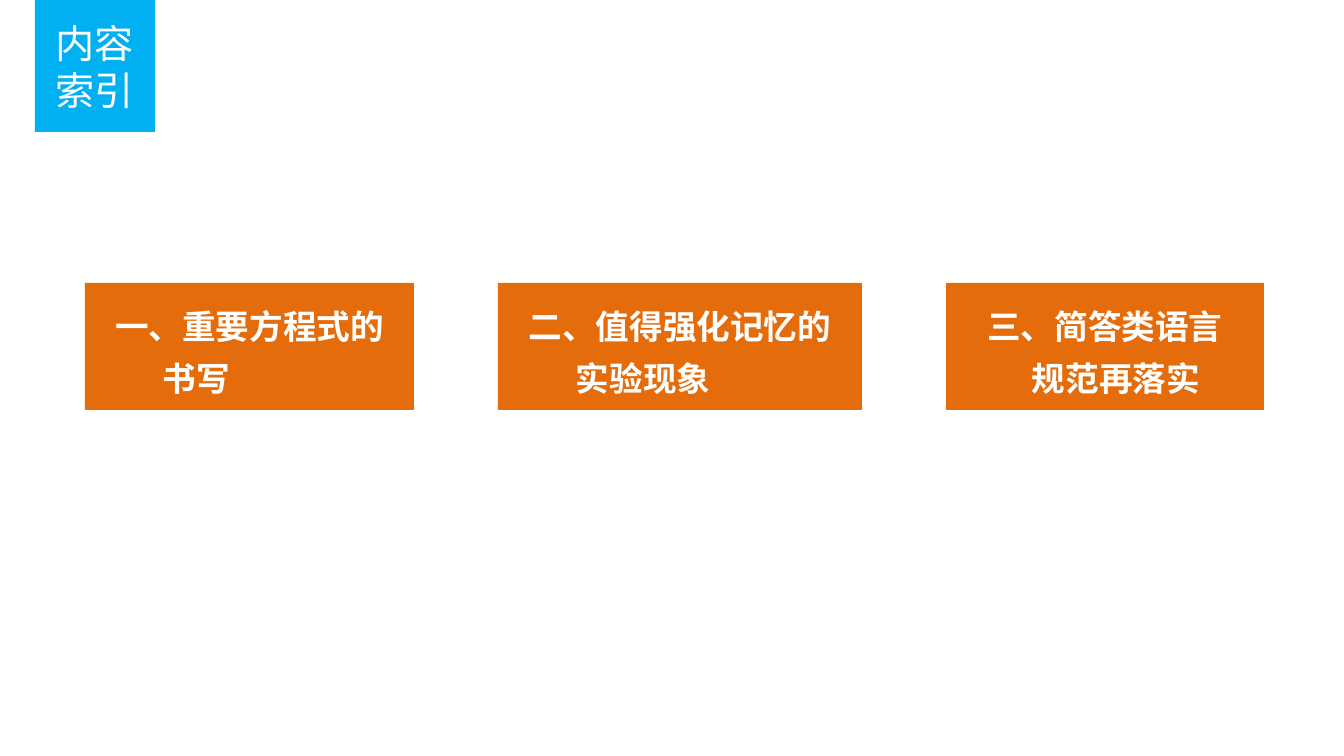
from pptx import Presentation
from pptx.dml.color import RGBColor
from pptx.enum.shapes import MSO_SHAPE
from pptx.enum.text import MSO_ANCHOR, PP_ALIGN
from pptx.util import Pt
from lxml.etree import SubElement
from pptx.oxml.ns import qn

FONT = "Noto Sans CJK SC"
WHITE = "FFFFFF"
BLUE = "00B0F0"
ORANGE = "E46C0A"
CARD_TOP, CARD_HEIGHT = 283, 127
CARDS = [
    (85, 329, "一、重要方程式的", "书写", 68),
    (498, 364, "二、值得强化记忆的", "实验现象", 68),
    (946, 318, "三、简答类语言", "规范再落实", 76),
]


def px(length):
    return round(length * 914400 / 100.8)


def color(value):
    return RGBColor.from_string(value)


def add_block(page, box, fill):
    block = page.shapes.add_shape(MSO_SHAPE.RECTANGLE, *map(px, box))
    block.shadow.inherit = False
    block.fill.solid()
    block.fill.fore_color.rgb = color(fill)
    block.line.fill.background()
    return block


def write(para, text, size, leading, bold=False, align=PP_ALIGN.CENTER, indent=0):
    para.alignment = align
    para.line_spacing = Pt(leading)
    if indent:
        para._p.get_or_add_pPr().set("marL", str(px(indent)))
    span = para.add_run()
    span.text = text
    span.font.name = FONT
    span.font.size = Pt(size)
    span.font.bold = bold
    span.font.color.rgb = color(WHITE)
    SubElement(span.font._element, qn("a:ea"), typeface=FONT)


def add_index_label(page, left, top, width, height):
    add_block(page, (left, top, width, height), BLUE)
    label = page.shapes.add_textbox(px(left + 8), px(top + 14), px(width - 17), px(height - 27))
    label.text_frame.word_wrap = True
    write(label.text_frame.paragraphs[0], "内容索引", size=28, leading=33.6)


def add_card(page, box, heading, ending, indent):
    frame = add_block(page, box, ORANGE).text_frame
    frame.word_wrap = True
    frame.vertical_anchor = MSO_ANCHOR.MIDDLE
    write(frame.paragraphs[0], heading, size=24, leading=37, bold=True)
    write(frame.add_paragraph(), ending, size=24, leading=37, bold=True,
          align=PP_ALIGN.LEFT, indent=indent)


def main():
    deck = Presentation()
    deck.slide_width, deck.slide_height = px(1344), px(756)
    page = deck.slides.add_slide(deck.slide_layouts[6])
    add_index_label(page, 35, 0, 120, 132)
    for left, width, heading, ending, indent in CARDS:
        add_card(page, (left, CARD_TOP, width, CARD_HEIGHT), heading, ending, indent)
    deck.save("out.pptx")


if __name__ == "__main__":
    main()
